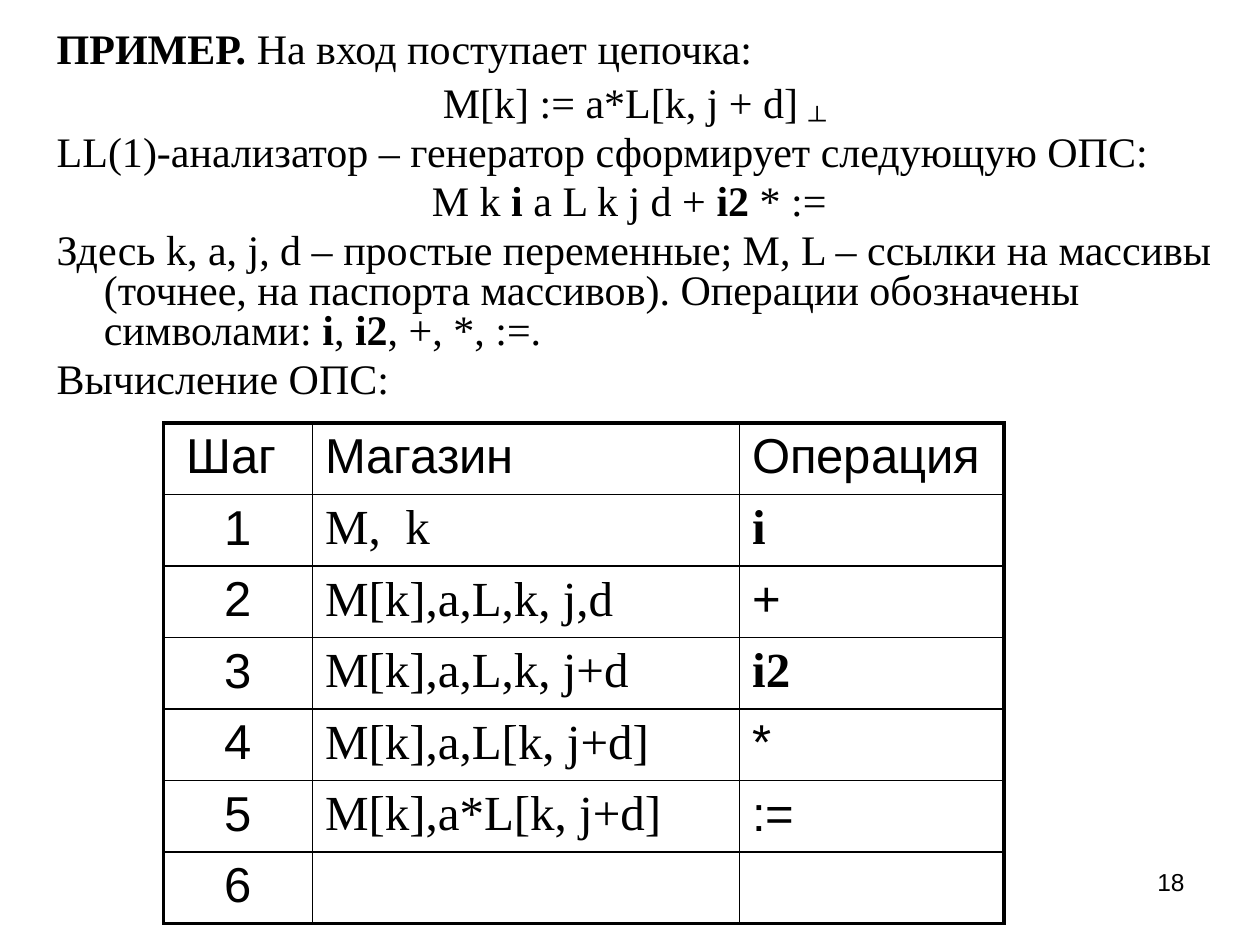
import pptx
import pptx.util
import pptx.dml.color
import pptx.enum.text
import pptx.oxml.ns
from lxml import etree

Cm, Pt = pptx.util.Cm, pptx.util.Pt
ALIGN = pptx.enum.text.PP_ALIGN
SERIF, SANS = "Times New Roman", "Arial"
BLACK = "000000"
THIN, THICK = 1, 2.25

# Each line: alignment, then runs of (text, style)
LINES = [
    (ALIGN.LEFT, [("ПРИМЕР. ", "bold"), ("На вход поступает цепочка:", "")]),
    (ALIGN.CENTER, [("M[k] := a*L[k, j + d] ", ""), ("┴", "sub")]),
    (ALIGN.LEFT, [("LL(1)-анализатор – генератор сформирует следующую ОПС:", "")]),
    (ALIGN.CENTER, [("M k ", ""), ("i ", "bold"), ("a L k j d + ", ""),
                    ("i2 ", "bold"), ("* := ", "")]),
    (ALIGN.LEFT, [("Здесь k, a, j, d – простые переменные; M, L – ссылки на массивы "
                   "(точнее, на паспорта массивов). Операции обозначены символами: ", ""),
                  ("i", "bold"), (", ", ""), ("i2", "bold"), (", +, *, :=.", "")]),
    (ALIGN.LEFT, [("Вычисление ОПС:", "")]),
]
HEAD = ["Шаг ", "Магазин", "Операция"]
STEPS = [
    ("M,  k", "i"),
    ("M[k],a,L,k, j,d", "+"),
    ("M[k],a,L,k, j+d", "i2"),
    ("M[k],a,L[k, j+d]", "*"),
    ("M[k],a*L[k, j+d]", ":="),
    ("", ""),
]


def paint(code):
    return pptx.dml.color.RGBColor.from_string(code)


def apply(item, form):
    for name, value in form.items():
        setattr(item, name, value)


def write(para, text, size, face, bold=False):
    run = para.add_run()
    run.text = text
    apply(run.font, {"size": Pt(size), "name": face, "bold": bold})
    run.font.color.rgb = paint(BLACK)
    return run


def edge(cell, sides):
    """Draw cell borders; sides maps a border tag to its width in points."""
    props = cell._tc.get_or_add_tcPr()
    for tag, width in sides.items():
        line = etree.SubElement(props, pptx.oxml.ns.qn("a:" + tag), w=str(Pt(width)))
        fill = etree.SubElement(line, pptx.oxml.ns.qn("a:solidFill"))
        etree.SubElement(fill, pptx.oxml.ns.qn("a:srgbClr"), val=BLACK)


def add_body(slide, left, top, width, height):
    body = slide.placeholders[1]
    apply(body, {"left": left, "top": top, "width": width, "height": height})
    frame = body.text_frame
    apply(frame, {"word_wrap": True,
                  "auto_size": pptx.enum.text.MSO_AUTO_SIZE.NONE,
                  "vertical_anchor": pptx.enum.text.MSO_ANCHOR.TOP})
    for num, (align, runs) in enumerate(LINES):
        para = frame.add_paragraph() if num else frame.paragraphs[0]
        # Hanging indent without a bullet
        props = para._p.get_or_add_pPr()
        apply(para, {"alignment": align, "line_spacing": 0.8,
                     "space_before": Pt(4.8 if num else 0)})
        props.set("marL", str(Cm(0.95)))
        props.set("indent", str(-Cm(0.95)))
        etree.SubElement(props, pptx.oxml.ns.qn("a:buNone"))
        for text, kind in runs:
            run = write(para, text, 24, SANS if kind == "sub" else SERIF, kind == "bold")
            if kind == "sub":
                run._r.get_or_add_rPr().set("baseline", "-25000")


def add_steps(slide, left, top, width, height):
    rows = [HEAD] + [(str(num), *step) for num, step in enumerate(STEPS, 1)]
    last = len(rows) - 1
    table = slide.shapes.add_table(len(rows), 3, left, top, width, height).table
    apply(table, {"first_row": False, "horz_banding": False})
    first, second = Cm(3), Cm(8.61)
    for col, size in zip(table.columns, (first, second, width - first - second)):
        col.width = size
    for r, row in enumerate(rows):
        for c, text in enumerate(row):
            cell = table.cell(r, c)
            edge(cell, {"lnL": THIN if c else THICK,
                        "lnR": THICK if c == 2 else THIN,
                        "lnT": THIN if r else THICK,
                        "lnB": THICK if r == last else THIN})
            cell.fill.background()
            para = cell.text_frame.paragraphs[0]
            para.alignment = ALIGN.LEFT if c else ALIGN.CENTER
            if text:
                bold = text in ("i", "i2")
                serif = bold or (r > 0 and c == 1)
                write(para, text, 28, SERIF if serif else SANS, bold)


def add_number(slide, left, top, width, height):
    box = slide.shapes.add_textbox(left, top, width, height)
    box.text_frame.word_wrap = True
    para = box.text_frame.paragraphs[0]
    para.alignment = ALIGN.RIGHT
    write(para, "18", 14, SANS)


def main():
    deck = pptx.Presentation()
    apply(deck, {"slide_width": Cm(25.4), "slide_height": Cm(19.05)})
    slide = deck.slides.add_slide(deck.slide_layouts[1])
    # The slide has no title
    title = slide.shapes.title._element
    title.getparent().remove(title)
    add_body(slide, Cm(0.89), Cm(0.53), Cm(23.8), Cm(17.81))
    add_number(slide, Cm(18.21), Cm(17.35), Cm(5.92), Cm(1.32))
    add_steps(slide, Cm(3.3), Cm(8.53), Cm(16.94), Cm(10.08))
    deck.save("out.pptx")


if __name__ == "__main__":
    main()
